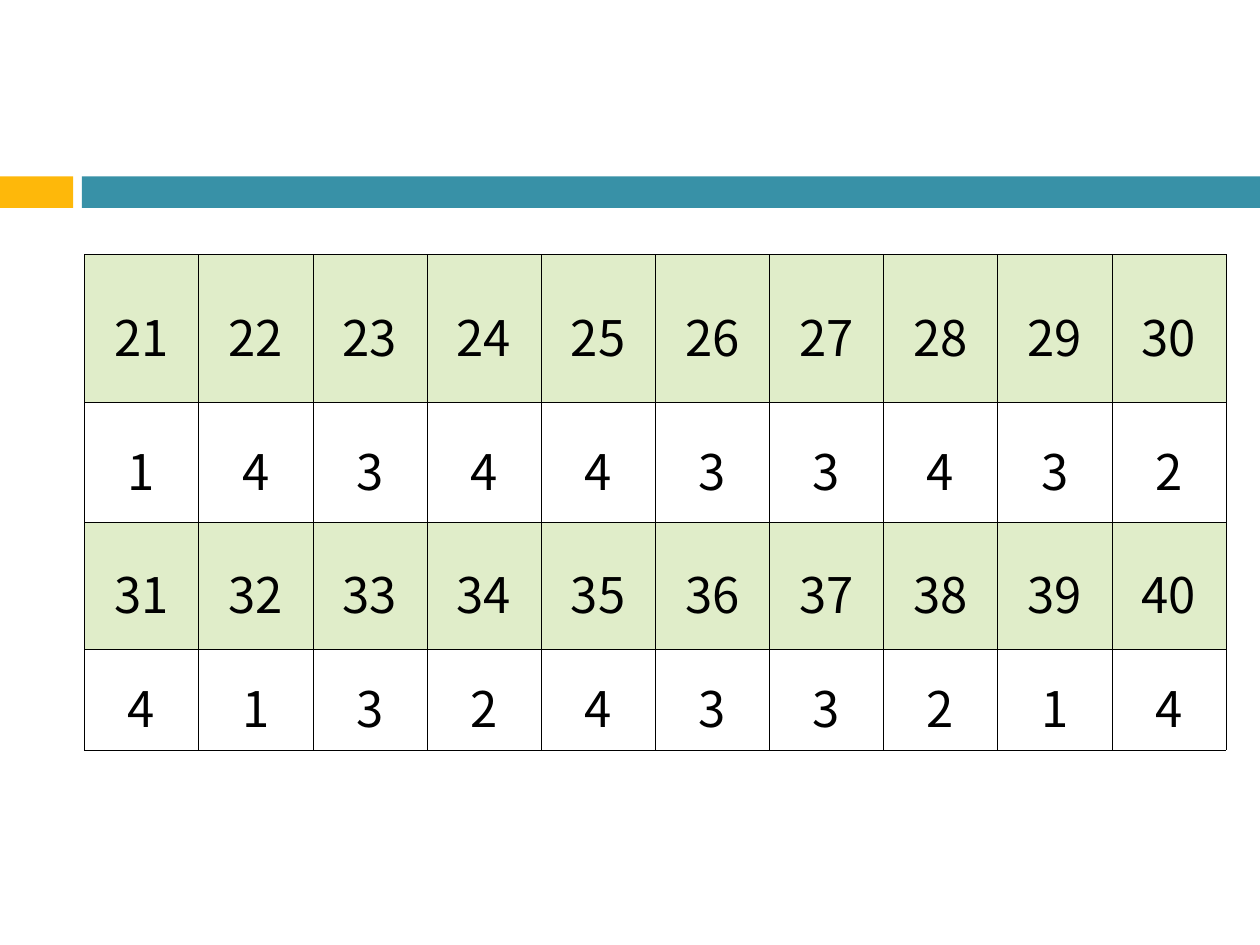
from lxml import etree
from pptx import Presentation
from pptx.dml.color import RGBColor
from pptx.enum.shapes import MSO_SHAPE
from pptx.enum.text import MSO_ANCHOR, PP_ALIGN
from pptx.oxml.ns import qn
from pptx.util import Inches, Pt

FONT = "Noto Sans CJK KR"


def rgb(color):
    return RGBColor.from_string(color)


def write(tf, text, size=28, color="000000", align=PP_ALIGN.CENTER, spacing=1.2):
    p = tf.paragraphs[0]
    p.alignment = align
    p.line_spacing = spacing
    r = p.add_run()
    r.text = text
    r.font.name = FONT
    r.font.size = Pt(size)
    r.font.color.rgb = rgb(color)


prs = Presentation()
prs.slide_width, prs.slide_height = Inches(10), Inches(7.5)
s = prs.slides.add_slide(prs.slide_layouts[6])

# Header band
for left, width, color in [(0, 0.58, "FEB80A"), (0.65, 9.35, "3891A7")]:
    sp = s.shapes.add_shape(MSO_SHAPE.RECTANGLE, Inches(left), Inches(1.4),
                            Inches(width), Inches(0.25))
    sp.shadow.inherit = False
    sp.fill.solid()
    sp.fill.fore_color.rgb = rgb(color)
    sp.line.fill.background()

# Answer table: question numbers above their answers
rows = [
    range(21, 31),
    [1, 4, 3, 4, 4, 3, 3, 4, 3, 2],
    range(31, 41),
    [4, 1, 3, 2, 4, 3, 3, 2, 1, 4],
]
heights = [1.17, 0.95, 1.01, 0.8]
table = s.shapes.add_table(4, 10, Inches(0.67), Inches(2.02),
                           Inches(9.06), Inches(sum(heights))).table
for row, height in zip(table.rows, heights):
    row.height = Inches(height)

for i, values in enumerate(rows):
    for j, value in enumerate(values):
        cell = table.cell(i, j)
        cell.vertical_anchor = MSO_ANCHOR.MIDDLE
        write(cell.text_frame, str(value))

        # Thin black borders go before the fill in the cell properties
        tcPr = cell._tc.get_or_add_tcPr()
        for side in ("lnL", "lnR", "lnT", "lnB"):
            ln = etree.SubElement(tcPr, qn(f"a:{side}"), w=str(Pt(0.11)))
            fill = etree.SubElement(ln, qn("a:solidFill"))
            etree.SubElement(fill, qn("a:srgbClr"), val="000000")

        if i % 2 == 0:
            cell.fill.solid()
            cell.fill.fore_color.rgb = rgb("E0EDC9")
        else:
            cell.fill.background()

prs.save("out.pptx")
